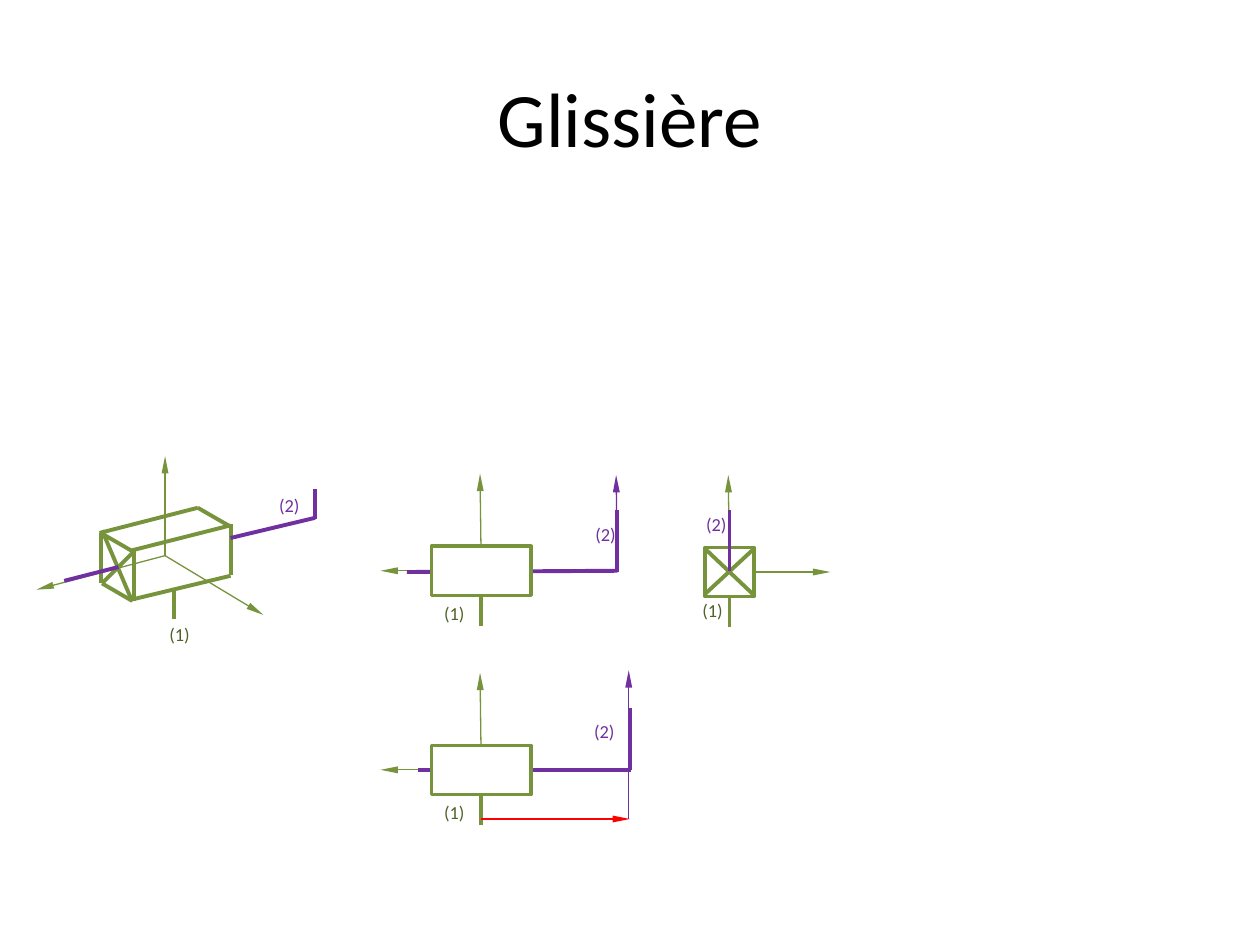
import pptx
import pptx.dml.color
import pptx.enum.shapes
import pptx.enum.text
import pptx.oxml
import pptx.oxml.ns
import pptx.util

Inches, Pt = pptx.util.Inches, pptx.util.Pt
RGB = pptx.dml.color.RGBColor

GREEN = RGB(0x77, 0x93, 0x3C)
DARK_GREEN = RGB(0x4F, 0x62, 0x28)
PURPLE = RGB(0x70, 0x30, 0xA0)
RED = RGB(0xFF, 0x00, 0x00)
WHITE = RGB(0xFF, 0xFF, 0xFF)
BLACK = RGB(0, 0, 0)

FONT = "Calibri"
THIN, THICK, OUTLINE = 0.75, 2.25, 2
LABEL_W, LABEL_H = 0.39, 0.29
BOX_H = 0.39
LABEL_COLORS = {"(1)": DARK_GREEN, "(2)": PURPLE}

# Lines are (x1, y1, x2, y2) and labels (text, left, top), relative to the
# view's origin. "front" lines are drawn over the box, the others behind it.
SIDE_AXES = [(0, 0, -0.01, -0.77), (0, 0, -0.8, 0)]
STUB = (0, 0.44, 0, 0.2)
SIDE_LABEL = ("(1)", -0.41, 0.2)

VIEWS = [
    {   # perspective
        "origin": (1.31, 4.41),
        "axes": [(0, 0, -1.02, 0.27), (0, 0, 0, -0.79), (0, 0, 0.78, 0.47)],
        "frame": [
            (0.52, -0.24, -0.27, -0.04), (0.52, 0.16, -0.27, 0.35),
            (0.26, -0.38, -0.52, -0.18), (0.26, -0.38, 0.52, -0.23),
            (-0.51, -0.18, -0.25, -0.03), (-0.5, 0.22, -0.26, 0.36),
            (-0.25, 0.36, -0.25, -0.04), (-0.51, 0.22, -0.51, -0.18),
            (0.52, 0.15, 0.52, -0.25), (-0.27, 0.34, -0.5, -0.2),
            (-0.5, 0.22, -0.25, -0.03), (0.07, 0.5, 0.07, 0.26),
        ],
        "rod": [(-0.37, 0.09, -0.8, 0.2), (1.19, -0.3, 0.52, -0.14),
                (1.19, -0.53, 1.19, -0.29)],
        "labels": [("(2)", 0.79, -0.54), ("(1)", -0.08, 0.49)],
    },
    {   # side view
        "origin": (3.82, 4.53),
        "axes": SIDE_AXES,
        "frame": [STUB],
        "rod": [(1.08, -0.48, 1.08, 0.01), (1.08, 0, -0.59, 0.01)],
        "rod_arrows": [(1.08, 0.01, 1.07, -0.76)],
        "box_w": 0.79,
        "labels": [SIDE_LABEL, ("(2)", 0.79, -0.43)],
    },
    {   # side view with the offset of the moving part
        "origin": (3.82, 6.11),
        "axes": SIDE_AXES,
        "frame": [STUB],
        "rod": [(1.18, -0.49, 1.18, 0), (1.19, 0, -0.5, 0)],
        "rod_arrows": [(1.17, 0.39, 1.17, -0.79)],
        "offset": [(0, 0.39, 1.18, 0.39)],
        "box_w": 0.79,
        "labels": [SIDE_LABEL, ("(2)", 0.78, -0.44)],
    },
    {   # end view
        "origin": (5.79, 4.54),
        "axes": [(0, 0, -0.01, -0.77), (0, 0, 0.8, 0)],
        "frame": [STUB],
        "box_w": 0.39,
        "front": [(0.19, 0.18, -0.2, -0.19), (-0.2, 0.18, 0.2, -0.19)],
        "front_rod": [(0, -0.49, 0, -0.01)],
        "labels": [("(2)", -0.3, -0.52), ("(1)", -0.33, 0.17)],
    },
]

# (key, colour, width, arrow)
BEHIND = [("axes", GREEN, THIN, True), ("frame", GREEN, THICK, False),
          ("rod", PURPLE, THICK, False), ("rod_arrows", PURPLE, THIN, True),
          ("offset", RED, THIN, True)]
IN_FRONT = [("front", GREEN, THICK, False),
            ("front_rod", PURPLE, THICK, False)]


def add_lines(s, view, layers):
    ox, oy = view["origin"]
    for key, color, width, arrow in layers:
        for x1, y1, x2, y2 in view.get(key, []):
            c = s.shapes.add_connector(
                pptx.enum.shapes.MSO_CONNECTOR.STRAIGHT,
                Inches(ox + x1), Inches(oy + y1),
                Inches(ox + x2), Inches(oy + y2))
            c.line.color.rgb = color
            c.line.width = Pt(width)
            if arrow:
                end = pptx.oxml.parse_xml(
                    '<a:tailEnd %s type="triangle" w="sm" len="lg"/>'
                    % pptx.oxml.ns.nsdecls("a"))
                c.line._get_or_add_ln().append(end)
            c._element.spPr.append(pptx.oxml.parse_xml(
                "<a:effectLst %s/>" % pptx.oxml.ns.nsdecls("a")))


def add_box(s, view):
    ox, oy = view["origin"]
    w = view["box_w"]
    sp = s.shapes.add_shape(
        pptx.enum.shapes.MSO_SHAPE.RECTANGLE,
        Inches(ox - w / 2), Inches(oy - BOX_H / 2), Inches(w), Inches(BOX_H))
    sp.shadow.inherit = False
    sp.fill.solid()
    sp.fill.fore_color.rgb = WHITE
    sp.line.color.rgb = GREEN
    sp.line.width = Pt(OUTLINE)


def add_labels(s, view):
    ox, oy = view["origin"]
    for text, x, y in view["labels"]:
        tf = s.shapes.add_textbox(Inches(ox + x), Inches(oy + y),
                                  Inches(LABEL_W), Inches(LABEL_H)).text_frame
        tf.auto_size = pptx.enum.text.MSO_AUTO_SIZE.SHAPE_TO_FIT_TEXT
        set_text(tf, text, 10.5, LABEL_COLORS[text])


def set_text(tf, text, size, color):
    tf.text = text
    p = tf.paragraphs[0]
    p.alignment = pptx.enum.text.PP_ALIGN.CENTER
    p.font.name = FONT
    p.font.size = Pt(size)
    p.font.color.rgb = color


def main():
    prs = pptx.Presentation()
    prs.slide_width, prs.slide_height = Inches(10), Inches(7.5)
    s = prs.slides.add_slide(prs.slide_layouts[5])

    title = s.shapes.title
    title.left, title.top = Inches(0.5), Inches(0.3)
    title.width, title.height = Inches(9), Inches(1.25)
    title.text_frame.vertical_anchor = pptx.enum.text.MSO_ANCHOR.MIDDLE
    set_text(title.text_frame, "Glissière", 44, BLACK)

    for view in VIEWS:
        add_lines(s, view, BEHIND)
        if "box_w" in view:
            add_box(s, view)
        add_lines(s, view, IN_FRONT)
        add_labels(s, view)

    prs.save("out.pptx")


if __name__ == "__main__":
    main()
